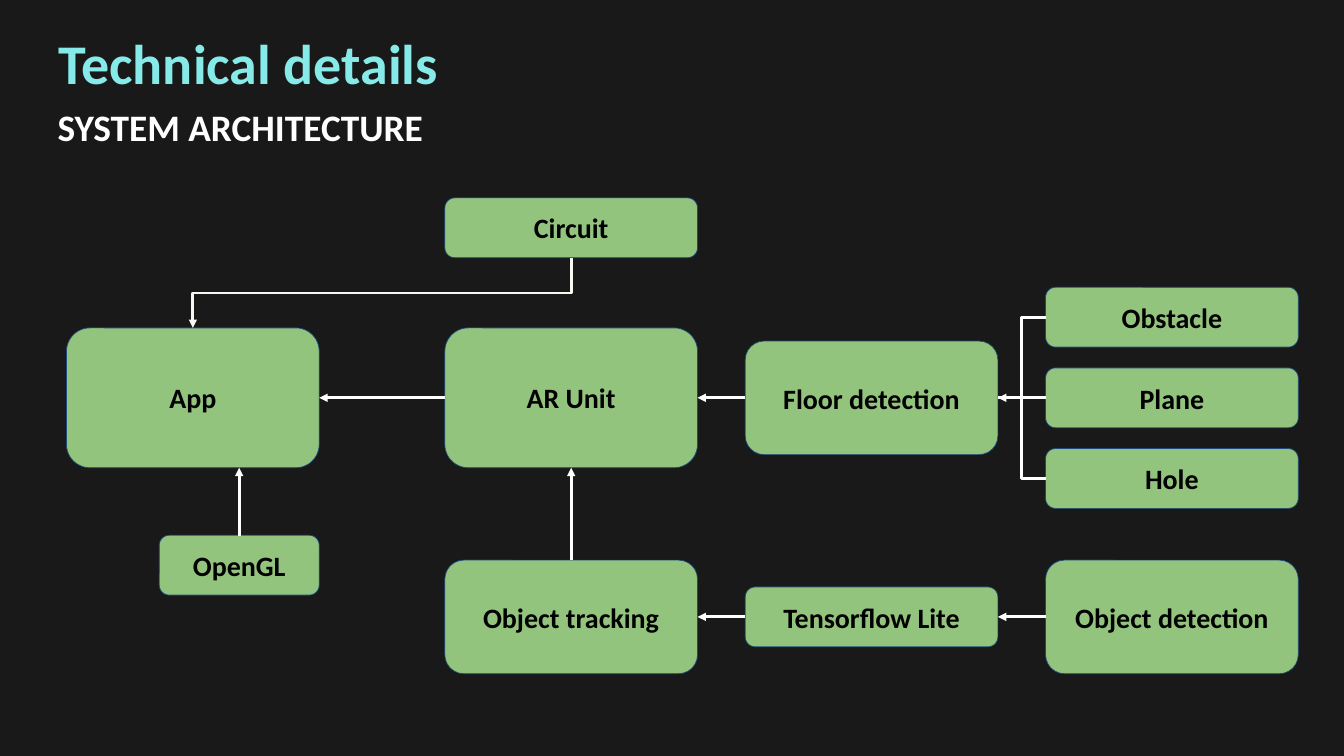
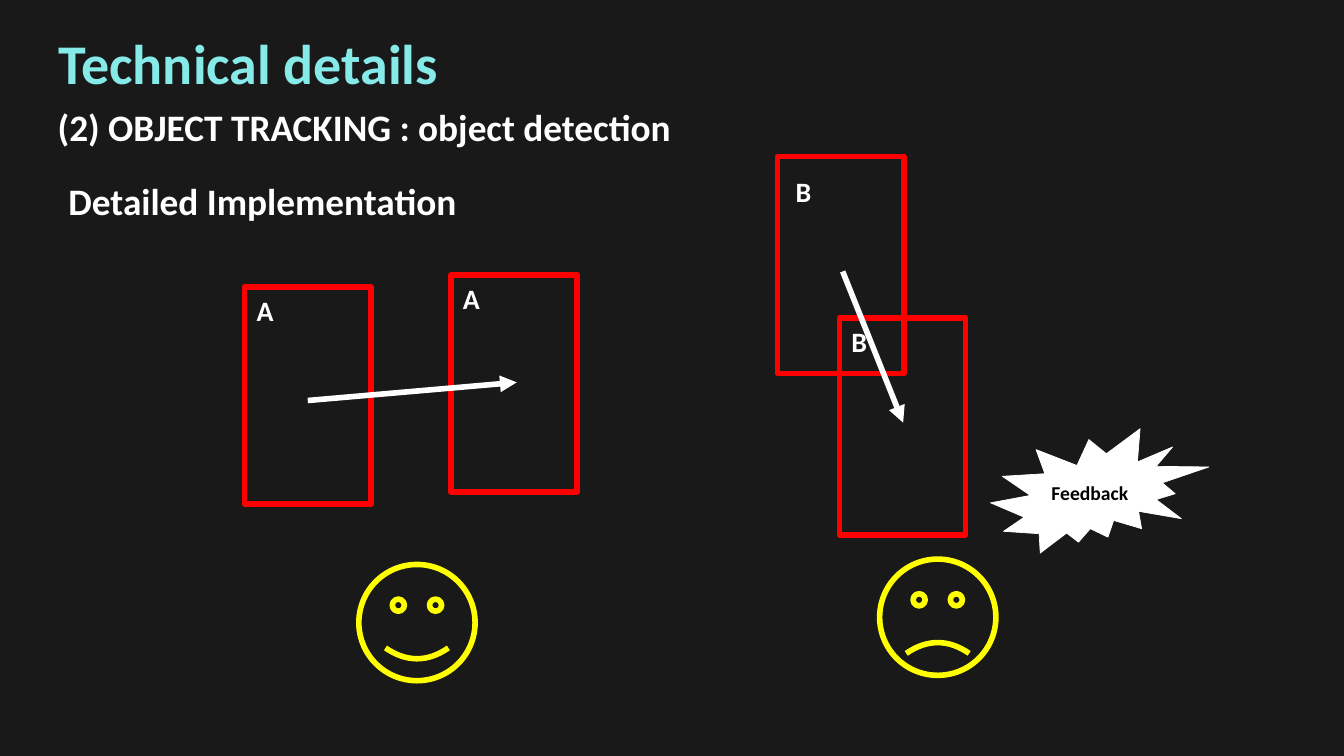
from lxml.etree import SubElement
from pptx import Presentation
from pptx.dml.color import RGBColor
from pptx.enum.shapes import MSO_CONNECTOR, MSO_SHAPE
from pptx.enum.text import MSO_ANCHOR, MSO_AUTO_SIZE, PP_ALIGN
from pptx.oxml.ns import qn
from pptx.util import Inches, Pt

BACKGROUND = RGBColor(0x19, 0x19, 0x19)
AQUA = RGBColor(0x86, 0xEA, 0xE9)
WHITE = RGBColor(0xFF, 0xFF, 0xFF)
OFF_WHITE = RGBColor(0xF8, 0xF8, 0xF2)
BLACK = RGBColor(0x00, 0x00, 0x00)
GREEN = RGBColor(0x93, 0xC4, 0x7D)
NAVY = RGBColor(0x1F, 0x49, 0x7D)
RED = RGBColor(0xFF, 0x00, 0x00)
YELLOW = RGBColor(0xFF, 0xFF, 0x00)

FONT = "Calibri"
TOP, LEFT, BOTTOM, RIGHT = range(4)  # connection sites of a box
TITLE_ONLY = 5


class Page:
    """The shared style and the slide being drawn."""

    def __init__(self, deck, subtitle):
        self.slide = deck.slides.add_slide(deck.slide_layouts[TITLE_ONLY])
        self.shapes = self.slide.shapes
        title = self.shapes.title
        title.left, title.top = Inches(0.77), Inches(0.38)
        title.width, title.height = Inches(9.49), Inches(1.11)
        self.fill_text(title, "Technical details", 60, AQUA, inset=0.05)
        self.text(subtitle, 0.76, 1.5, 10.65, 0.77, 40, 0.05)

    def fill_text(self, box, text, size, color, anchor=MSO_ANCHOR.TOP,
                  inset=0.1, align=PP_ALIGN.LEFT):
        frame = box.text_frame
        frame.word_wrap = True
        frame.auto_size = MSO_AUTO_SIZE.NONE
        frame.vertical_anchor = anchor
        frame.margin_left = frame.margin_right = Inches(0.1)
        frame.margin_top = frame.margin_bottom = Inches(inset)
        para = frame.paragraphs[0]
        para.alignment = align
        span = para.add_run()
        span.text = text
        span.font.name = FONT
        span.font.size = Pt(size)
        span.font.bold = True
        span.font.color.rgb = color

    def text(self, text, left, top, width, height, size=30, inset=0.1):
        box = self.shapes.add_textbox(
            Inches(left), Inches(top), Inches(width), Inches(height))
        self.fill_text(box, text, size, WHITE, inset=inset)

    def shape(self, kind, left, top, width, height, line, weight=6, fill=None):
        shape = self.shapes.add_shape(
            kind, Inches(left), Inches(top), Inches(width), Inches(height))
        shape.shadow.inherit = False
        if fill is None:
            shape.fill.background()
        else:
            shape.fill.solid()
            shape.fill.fore_color.rgb = fill
        shape.line.color.rgb = line
        shape.line.width = Pt(weight)
        return shape

    def block(self, text, left, middle, height, width=3.76):
        """Add a green box centred vertically on middle."""
        box = self.shape(MSO_SHAPE.ROUNDED_RECTANGLE, left, middle - height / 2,
                         width, height, NAVY, 0.75, GREEN)
        self.fill_text(box, text, 30, BLACK, MSO_ANCHOR.MIDDLE,
                       align=PP_ALIGN.CENTER)
        return box

    def line(self, begin, end, weight=3, color=WHITE, arrow=True,
             kind=MSO_CONNECTOR.STRAIGHT):
        line = self.shapes.add_connector(
            kind, *(Inches(length) for length in (*begin, *end)))
        line.line.color.rgb = color
        line.line.width = Pt(weight)
        properties = line._element.spPr
        if arrow:
            SubElement(properties.find(qn("a:ln")), qn("a:tailEnd"),
                       type="triangle")
        SubElement(properties, qn("a:effectLst"))
        return line

    def link(self, source, source_site, target, target_site, **style):
        """Glue a line between two boxes."""
        line = self.line((0, 0), (1, 1), **style)
        line.begin_connect(source, source_site)
        line.end_connect(target, target_site)

    def drop(self, begin, end, color):
        """Add an elbow arrow that leaves and arrives vertically."""
        (x1, y1), (x2, y2) = begin, end
        x, y = (x1 + x2) / 2, (y1 + y2) / 2
        half_width, half_height = abs(y2 - y1) / 2, abs(x2 - x1) / 2
        line = self.line((x - half_width, y - half_height),
                         (x + half_width, y + half_height),
                         color=color, kind=MSO_CONNECTOR.ELBOW)
        line._element.spPr.find(qn("a:xfrm")).set("rot", "5400000")

    def tracked(self, label, left, top, label_dx=0.08, label_dy=0):
        """Add a labelled red tracking frame."""
        self.shape(MSO_SHAPE.RECTANGLE, left, top, 1.88, 3.23, RED)
        self.text(label, left + label_dx, top + label_dy, 1.49, 0.71)

    def face(self, left, top, smile):
        face = self.shape(MSO_SHAPE.SMILEY_FACE, left, top, 1.73, 1.73, YELLOW)
        face.adjustments[0] = smile


def draw_architecture(deck):
    page = Page(deck, "SYSTEM ARCHITECTURE")
    app_x, core_x, floor_x, input_x = 0.99, 6.62, 11.09, 15.56
    main_y, tracking_y = 5.92, 9.18
    large, medium, small = 2.08, 1.69, 0.89

    app = page.block("App", app_x, main_y, large)
    core = page.block("AR Unit", core_x, main_y, large)
    floor = page.block("Floor detection", floor_x, main_y, medium)
    page.block("Circuit", core_x, 3.39, small)
    page.block("OpenGL", 2.37, 8.41, small, width=2.38)
    tracking = page.block("Object tracking", core_x, tracking_y, medium)
    model = page.block("Tensorflow Lite", floor_x, tracking_y, small)
    detection = page.block("Object detection", input_x, tracking_y, medium)
    obstacle, plane, hole = [
        page.block(name, input_x, main_y + row * 1.2, small)
        for row, name in enumerate(("Obstacle", "Plane", "Hole"), -1)]

    for source, target in ((core, app), (floor, core), (model, tracking),
                           (detection, model), (plane, floor)):
        page.link(source, LEFT, target, RIGHT)
    page.link(tracking, TOP, core, BOTTOM)
    for source in (obstacle, hole):
        page.link(source, LEFT, floor, RIGHT, arrow=False,
                  kind=MSO_CONNECTOR.ELBOW)
    page.line((3.56, 7.97), (3.56, 6.96))
    page.drop((8.5, 3.84), (2.87, 4.88), OFF_WHITE)


def draw_tracking(deck):
    page = Page(deck, "(2) OBJECT TRACKING : object detection")
    page.text("Detailed Implementation", 0.92, 2.6, 18.12, 0.77, 40, 0.05)

    page.tracked("A", 3.64, 4.27)
    page.tracked("A", 6.71, 4.09)
    page.line((4.58, 5.96), (7.69, 5.69), weight=6)
    page.face(5.34, 8.4, 0.05)

    page.tracked("B", 11.57, 2.33, label_dx=0.17, label_dy=0.16)
    page.tracked("B", 12.49, 4.73)
    page.line((12.54, 4.04), (13.44, 6.29), weight=6)
    page.face(13.09, 8.32, -0.05)

    burst = page.shape(MSO_SHAPE.EXPLOSION2, 14.74, 6.38, 3.25, 1.85,
                       WHITE, 0.75, WHITE)
    page.fill_text(burst, "Feedback", 21, BLACK, MSO_ANCHOR.MIDDLE)


def main():
    deck = Presentation()
    deck.slide_width, deck.slide_height = Inches(20), Inches(11.25)
    backdrop = deck.slide_master.background.fill
    backdrop.solid()
    backdrop.fore_color.rgb = BACKGROUND
    draw_architecture(deck)
    draw_tracking(deck)
    deck.save("out.pptx")


if __name__ == "__main__":
    main()
